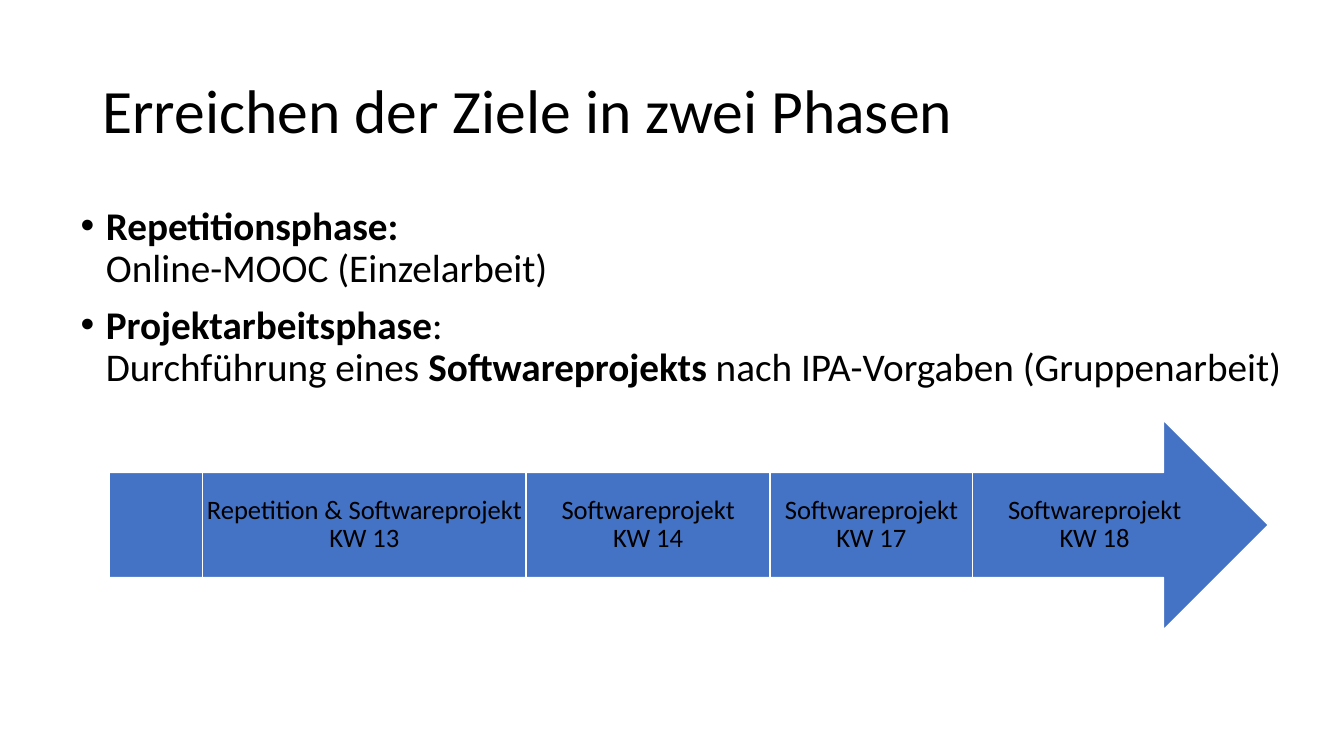
"""Builds a slide with two project phases and a weekly timeline arrow."""
from dataclasses import dataclass

from pptx import Presentation
from pptx.dml.color import RGBColor as Rgb
from pptx.enum.shapes import MSO_SHAPE as Preset
from pptx.enum.text import MSO_ANCHOR as Anchor
from pptx.enum.text import MSO_AUTO_SIZE as AutoSize
from pptx.enum.text import PP_ALIGN as Align
from pptx.util import Inches, Pt


@dataclass(frozen=True)
class Theme:
    font: str = "Calibri"
    ink: Rgb = Rgb(0, 0, 0)
    arrow: Rgb = Rgb(0x44, 0x72, 0xC4)
    frame: Rgb = Rgb(255, 255, 255)
    title: int = 44
    body: int = 28
    stage: int = 19


def write(para, text, size, bold=False, align=Align.LEFT, before=0, after=0):
    para.alignment = align
    para.line_spacing = 0.9
    para.space_before, para.space_after = Pt(before), Pt(after)
    for number, line in enumerate(text.split("\n")):
        if number:
            para.add_line_break()
        if line:
            span = para.add_run()
            span.text = line
            span.font.name, span.font.size = theme.font, Pt(size)
            span.font.bold, span.font.color.rgb = bold, theme.ink


def place(box, left, top, width, height):
    box.left, box.width = int(left * COLUMN), int(width * COLUMN)
    box.top, box.height = int(top * ROW), int(height * ROW)


theme = Theme()
deck = Presentation()
deck.slide_width, deck.slide_height = Inches(13.333), Inches(7.5)
COLUMN, ROW = deck.slide_width / 40, deck.slide_height / 36
page = deck.slides.add_slide(deck.slide_layouts[1])

title = page.shapes.title
place(title, 2.75, 1.92, 34.5, 6.96)
title.text_frame.vertical_anchor = Anchor.MIDDLE
title.text_frame.auto_size = AutoSize.NONE
write(title.text_frame.paragraphs[0], "Erreichen der Ziele in zwei Phasen", theme.title)

phases = [
    [("Repetitionsphase:\n", True), ("Online-MOOC (Einzelarbeit)", False)],
    [
        ("Projektarbeitsphase", True),
        (": \nDurchführung eines ", False),
        ("Softwareprojekts", True),
        (" nach IPA-Vorgaben (Gruppenarbeit)", False),
    ],
]
body = page.placeholders[1]
place(body, 2.1, 9.6, 37.32, 22.85)
body.text_frame.auto_size = AutoSize.NONE
for number, phase in enumerate(phases):
    para = body.text_frame.add_paragraph() if number else body.text_frame.paragraphs[0]
    for text, bold in phase:
        write(para, text, theme.body, bold=bold, before=10)
    indent = Inches(0.25)
    layout = para._p.get_or_add_pPr()
    layout.set("marL", str(indent))
    layout.set("indent", str(-indent))

arrow = page.shapes.add_shape(Preset.RIGHT_ARROW, 0, 0, 0, 0)
place(arrow, 3.25, 20, 34.5, 10)
arrow.shadow.inherit = False
arrow.fill.solid()
arrow.fill.fore_color.rgb = theme.arrow
arrow.line.color.rgb, arrow.line.width = theme.frame, Pt(1)

stages = [
    ("Repetition & Softwareprojekt\nKW 13", 9.63, True),
    ("Softwareprojekt\nKW 14", 5.18, False),
    ("Softwareprojekt\nKW 17", 6.03, True),
    ("Softwareprojekt\nKW 18", 5.18, False),
]
left, gap = 6.03, 1.04
for text, width, framed in stages:
    stage = page.shapes.add_shape(Preset.RECTANGLE, 0, 0, 0, 0)
    place(stage, left, 22.5, width, 5)
    stage.shadow.inherit = False
    stage.fill.background()
    if framed:
        stage.line.color.rgb, stage.line.width = theme.frame, Pt(1)
    else:
        stage.line.fill.background()
    frame = stage.text_frame
    frame.word_wrap, frame.vertical_anchor = True, Anchor.MIDDLE
    frame.margin_left = frame.margin_right = 0
    frame.margin_top = frame.margin_bottom = int(ROW)
    write(frame.paragraphs[0], text, theme.stage, align=Align.CENTER)
    left += width + gap

deck.save("out.pptx")
